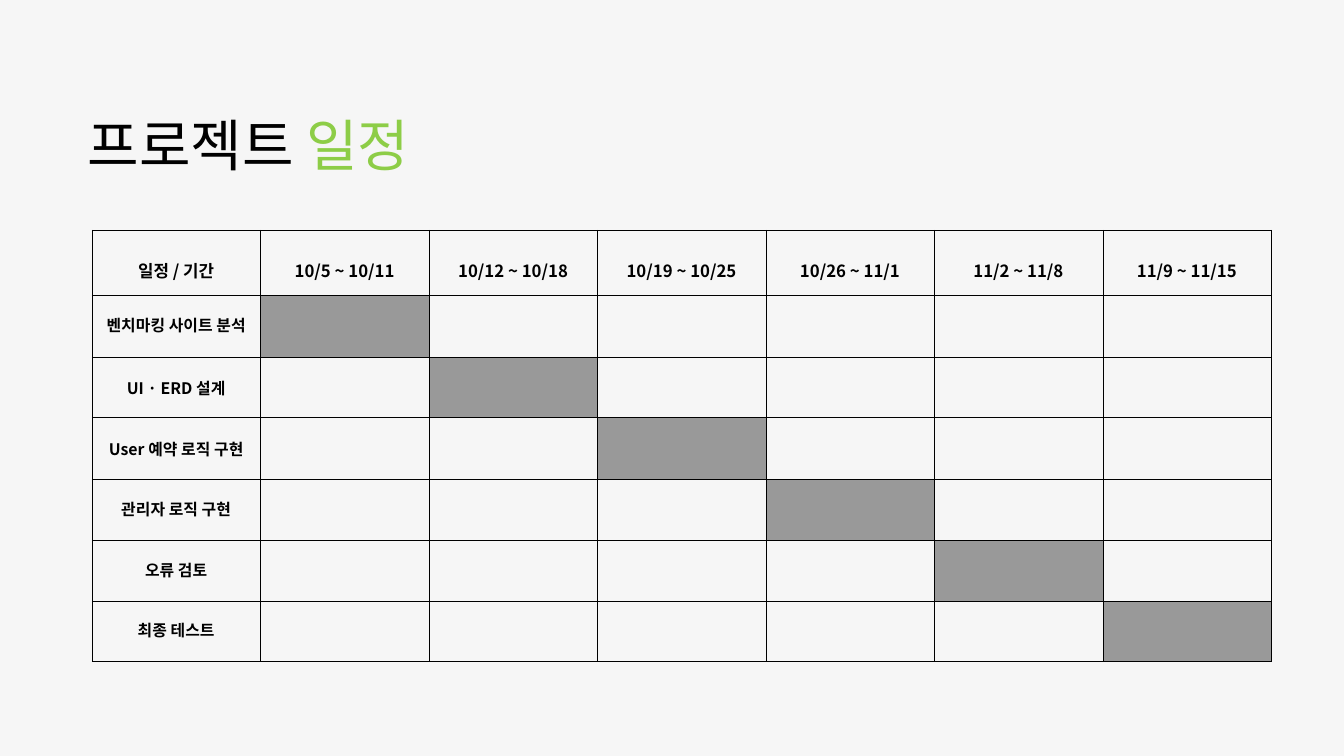
from pptx import Presentation
from pptx.dml.color import RGBColor
from pptx.enum.text import MSO_ANCHOR, MSO_AUTO_SIZE, PP_ALIGN
from pptx.oxml.ns import qn
from pptx.util import Pt
from lxml.etree import SubElement, Element

COLORS = {"bg": "F6F6F6", "text": "000000", "accent": "8DCD47", "bar": "999999", "border": "000000"}
SANS, BODY = "Noto Sans CJK KR", "Calibri"
CELL = {"margin_left": Pt(5), "margin_right": Pt(5), "margin_top": Pt(1.4), "margin_bottom": Pt(1.4),
        "vertical_anchor": MSO_ANCHOR.MIDDLE}
PERIODS = ["10/5 ~ 10/11", "10/12 ~ 10/18", "10/19 ~ 10/25", "10/26 ~ 11/1", "11/2 ~ 11/8", "11/9 ~ 11/15"]
HEADER = [[("일정", BODY), (" / ", SANS), ("기간", BODY)]] + [[(period, SANS)] for period in PERIODS]
TASKS = [
    [("벤치마킹 사이트 분석", BODY)],
    [("UI · ERD ", SANS), ("설계", BODY)],
    [("User ", SANS), ("예약 로직 구현", BODY)],
    [("관리자 로직 구현", BODY)],
    [("오류 검토", BODY)],
    [("최종 테스트", BODY)],
]
ROW_HEIGHTS = [70.2, 65.9, 64.8, 65.9, 65.9, 64.8, 64.8]
COL_WIDTH = 180.5


class Deck:
    """Holds the slide style and draws elements on the current slide."""

    def __init__(self, width, height):
        self.prs = Presentation()
        self.prs.slide_width, self.prs.slide_height = Pt(width), Pt(height)
        self.s = self.prs.slides.add_slide(self.prs.slide_layouts[6])
        self.fill(self.s.background.fill, "bg")

    def fill(self, fill, color):
        fill.solid()
        fill.fore_color.rgb = RGBColor.from_string(COLORS[color])

    def run(self, p, text, font, size, color="text", bold=False):
        r = p.add_run()
        r.text = text
        for name, value in {"name": font, "size": Pt(size), "bold": bold}.items():
            setattr(r.font, name, value)
        self.fill(r.font.fill, color)
        SubElement(r.font._element, qn("a:ea"), typeface=font)

    def title(self, x, y, w, h, parts):
        tf = self.s.shapes.add_textbox(Pt(x), Pt(y), Pt(w), Pt(h)).text_frame
        tf.word_wrap = True
        tf.auto_size = MSO_AUTO_SIZE.SHAPE_TO_FIT_TEXT
        for text, color in parts:
            self.run(tf.paragraphs[0], text, SANS, 60, color)

    def borders(self, cell):
        tcPr = cell._tc.get_or_add_tcPr()
        for i, side in enumerate("LRTB"):
            ln = Element(qn(f"a:ln{side}"), w=str(Pt(0.28)))
            SubElement(SubElement(ln, qn("a:solidFill")), qn("a:srgbClr"), val=COLORS["border"])
            tcPr.insert(i, ln)

    def cell(self, cell, runs, size, spacing, shaded):
        for name, value in CELL.items():
            setattr(cell, name, value)
        self.fill(cell.fill, "bar" if shaded else "bg")
        self.borders(cell)
        p = cell.text_frame.paragraphs[0]
        p.alignment, p.line_spacing = PP_ALIGN.CENTER, spacing
        for text, font in runs:
            self.run(p, text, font, size, bold=True)

    def schedule(self, x, y, header, tasks):
        rows = [header] + [[task] + [[]] * (len(header) - 1) for task in tasks]
        table = self.s.shapes.add_table(len(rows), len(header), Pt(x), Pt(y),
                                        Pt(COL_WIDTH * len(header)), Pt(sum(ROW_HEIGHTS))).table
        for col in table.columns:
            col.width = Pt(COL_WIDTH)
        for i, row in enumerate(rows):
            table.rows[i].height = Pt(ROW_HEIGHTS[i])
            size, spacing = (17, 1.0) if i else (18, 1.6)
            for j, runs in enumerate(row):
                self.cell(table.cell(i, j), runs, size, spacing, i == j > 0)


def main():
    deck = Deck(1440, 810)
    deck.title(87, 115, 555, 80, [("프로젝트 ", "text"), ("일정", "accent")])
    deck.schedule(98.5, 246.5, HEADER, TASKS)
    deck.prs.save("out.pptx")


if __name__ == "__main__":
    main()
